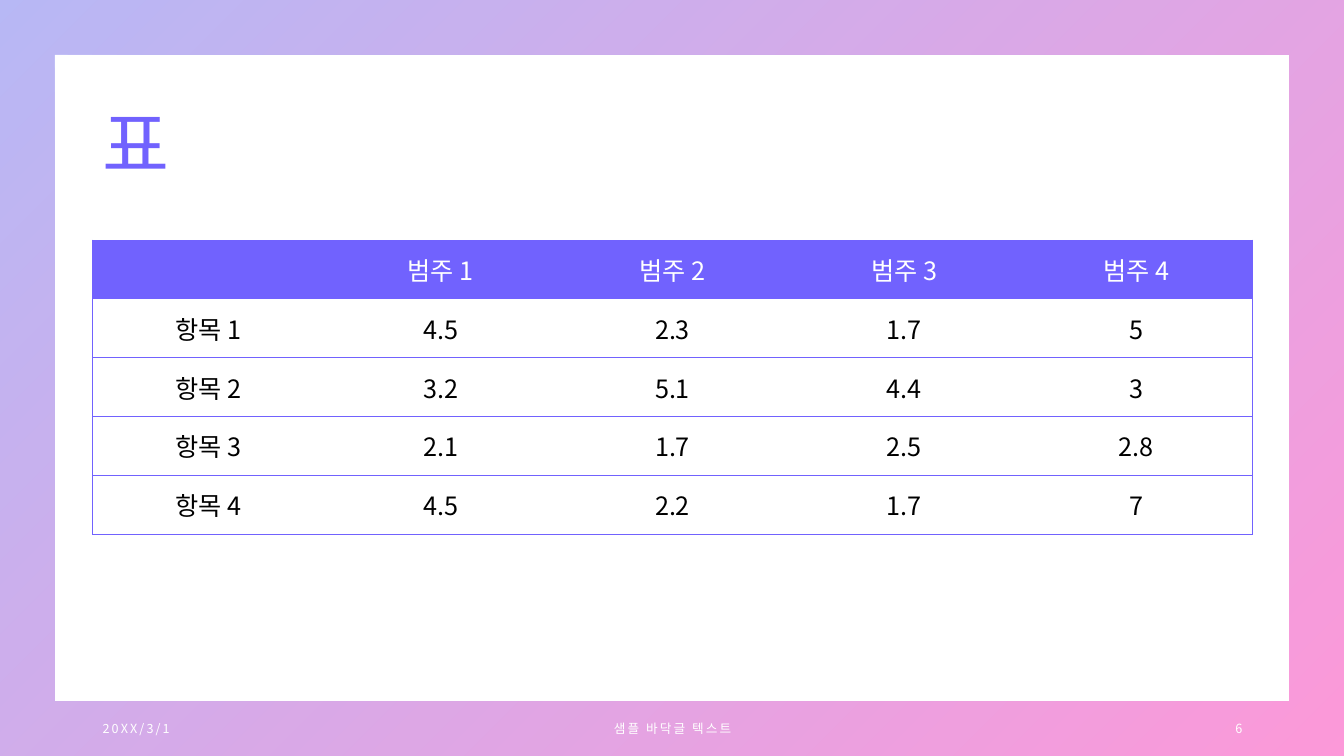
from dataclasses import dataclass

from lxml import etree
from pptx import Presentation
from pptx.dml.color import RGBColor
from pptx.enum import shapes, text
from pptx.oxml.ns import qn
from pptx.util import Inches, Pt


@dataclass
class Theme:
    font: str = "Noto Sans CJK KR"
    violet: str = "7162FE"
    blue: str = "4D4EE6"
    pink: str = "F900A0"
    white: str = "FFFFFF"
    black: str = "000000"
    title_size: int = 52
    table_size: int = 18
    footer_size: int = 9


theme = Theme()


def write(frame, words, size, color, align, spacing=0):
    """Put one formatted line in a text frame."""
    para = frame.paragraphs[0]
    para.alignment = align
    span = para.add_run()
    span.text = words
    for name, value in {"size": Pt(size), "name": theme.font, "bold": False}.items():
        setattr(span.font, name, value)
    span.font.color.rgb = RGBColor.from_string(color)
    props = span.font._element
    etree.SubElement(props, qn("a:ea")).set("typeface", theme.font)
    if spacing:
        props.set("spc", str(int(spacing * 100)))
    return para


def add_border(cell, side, color):
    """Draw a thin border on one side, or none when there is no color."""
    line = etree.SubElement(cell._tc.get_or_add_tcPr(), qn(f"a:ln{side}"))
    line.set("w", str(int(Pt(0.5))))
    if color:
        fill = etree.SubElement(line, qn("a:solidFill"))
        etree.SubElement(fill, qn("a:srgbClr")).set("val", color)
    else:
        etree.SubElement(line, qn("a:noFill"))


deck = Presentation()
deck.slide_width, deck.slide_height = Inches(13.33), Inches(7.5)
page = deck.slides.add_slide(deck.slide_layouts[5])
title = page.shapes.title

# Gradient frame behind everything
frame = page.shapes.add_shape(
    shapes.MSO_SHAPE.FRAME, 0, 0, deck.slide_width, deck.slide_height)
frame.adjustments[0] = 0.072
frame.shadow.inherit = False
frame.line.fill.background()
frame.fill.gradient()
frame.fill.gradient_angle = 315
for stop, color in zip(frame.fill.gradient_stops, (theme.blue, theme.pink)):
    stop.color.rgb = RGBColor.from_string(color)
for color in frame.element.spPr.iter(qn("a:srgbClr")):
    etree.SubElement(color, qn("a:alpha")).set("val", "40000")
title.element.addprevious(frame.element)

# Title
title.left, title.top = Inches(0.92), Inches(0.74)
title.width, title.height = Inches(11.5), Inches(1.45)
title.text_frame.vertical_anchor = text.MSO_ANCHOR.MIDDLE
heading = write(title.text_frame, "표", theme.title_size, theme.violet,
                text.PP_ALIGN.LEFT)
heading.line_spacing = 0.9

# Table
rows = [
    ["", *(f"범주 {n}" for n in range(1, 5))],
    ["항목 1", "4.5", "2.3", "1.7", "5"],
    ["항목 2", "3.2", "5.1", "4.4", "3"],
    ["항목 3", "2.1", "1.7", "2.5", "2.8"],
    ["항목 4", "4.5", "2.2", "1.7", "7"],
]
last = len(rows[0]) - 1
table = page.shapes.add_table(
    len(rows), len(rows[0]), Inches(0.92), Inches(2.38),
    Inches(11.5), Inches(2.92)).table
table.horz_banding = False
for r, values in enumerate(rows):
    for c, value in enumerate(values):
        cell = table.cell(r, c)
        cell.vertical_anchor = text.MSO_ANCHOR.MIDDLE
        edges = {"L": c == 0, "R": c == last, "T": True, "B": True}
        for side, drawn in edges.items():
            add_border(cell, side, theme.violet if drawn else None)
        cell.fill.solid()
        cell.fill.fore_color.rgb = RGBColor.from_string(
            theme.white if r else theme.violet)
        write(cell.text_frame, value, theme.table_size,
              theme.black if r else theme.white, text.PP_ALIGN.CENTER)

# Footer: date, text and page number
footers = [
    (0.92, 3, "20XX/3/1", text.PP_ALIGN.LEFT),
    (4.42, 4.5, "샘플 바닥글 텍스트", text.PP_ALIGN.CENTER),
    (9.42, 3, "6", text.PP_ALIGN.RIGHT),
]
for left, width, words, align in footers:
    box = page.shapes.add_textbox(
        Inches(left), Inches(7.03), Inches(width), Inches(0.4))
    box.text_frame.word_wrap = True
    box.text_frame.vertical_anchor = text.MSO_ANCHOR.MIDDLE
    write(box.text_frame, words, theme.footer_size, theme.white, align, 1.5)

deck.save("out.pptx")
